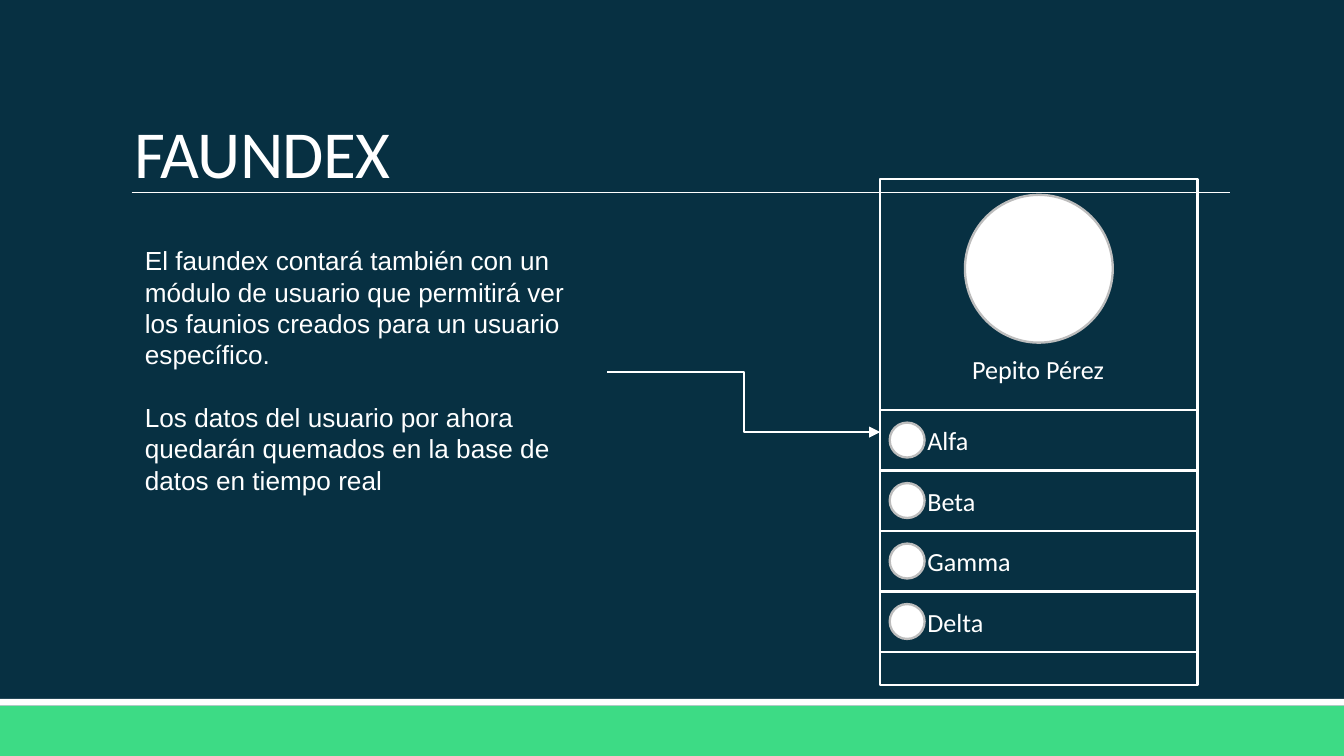
from lxml.etree import SubElement
from pptx import Presentation
from pptx.dml.color import RGBColor
from pptx.enum.shapes import MSO_CONNECTOR, MSO_SHAPE
from pptx.enum.text import MSO_ANCHOR, PP_ALIGN
from pptx.oxml.ns import qn
from pptx.util import Inches, Pt

COLORS = {"navy": "073042", "green": "3DDB85", "white": "FFFFFF", "gray": "BDBDBD"}

presentation = Presentation()
presentation.slide_width = Inches(10)
presentation.slide_height = Inches(5.625)
slide = presentation.slides.add_slide(presentation.slide_layouts[6])
slide.background.fill.solid()
slide.background.fill.fore_color.rgb = RGBColor.from_string(COLORS["navy"])

UNIT = presentation.slide_width / 100


def add_block(text="", *, box, kind=None, fill=None, line=None, size=14, font="Calibri",
              align=PP_ALIGN.LEFT, anchor=MSO_ANCHOR.MIDDLE, insets=(1, 0.5, 1, 0.5),
              gap=0, spacing=None, tracking=None):
    place = [round(value * UNIT) for value in box]
    if kind is None:
        shape = slide.shapes.add_textbox(*place)
    else:
        shape = slide.shapes.add_shape(kind, *place)
        shape.shadow.inherit = False
        if fill:
            shape.fill.solid()
            shape.fill.fore_color.rgb = RGBColor.from_string(COLORS[fill])
        else:
            shape.fill.background()
        if line:
            shape.line.color.rgb = RGBColor.from_string(COLORS[line])
            shape.line.width = Pt(1.25)
        else:
            shape.line.fill.background()
    if not text:
        return shape
    frame = shape.text_frame
    frame.word_wrap = True
    frame.vertical_anchor = anchor
    frame.margin_left, frame.margin_top, frame.margin_right, frame.margin_bottom = [
        round(value * UNIT) for value in insets]
    frame.text = text
    for index, paragraph in enumerate(frame.paragraphs):
        paragraph.alignment = align
        paragraph.line_spacing = spacing
        paragraph.space_before = Pt(gap if index else 0)
        for run in paragraph.runs:
            run.font.size = Pt(size)
            run.font.name = font
            run.font.color.rgb = RGBColor.from_string(COLORS["white"])
            if tracking:
                run.font._element.set("spc", str(tracking))
    return shape


def add_line(kind, start, end, width):
    connector = slide.shapes.add_connector(
        kind, *[round(value * UNIT) for value in (*start, *end)])
    connector.line.color.rgb = RGBColor.from_string(COLORS["white"])
    connector.line.width = Pt(width)
    SubElement(connector._element.spPr, qn("a:effectLst"))
    return connector


add_block(box=(0, 52.5, 100, 3.75), kind=MSO_SHAPE.RECTANGLE, fill="green")
add_block(box=(0, 52, 100, 0.5), kind=MSO_SHAPE.RECTANGLE, fill="white")
add_line(MSO_CONNECTOR.STRAIGHT, (9.8, 14.3), (91.5, 14.3), 0.5)
add_block("FAUNDEX", box=(9, 2.4, 82.5, 11.9), size=36, anchor=MSO_ANCHOR.BOTTOM,
          insets=(1, 1, 1, 0.1), spacing=0.75, tracking=-40)

card_left, card_top, card_width, card_height = 65.5, 13.3, 23.6, 37.7
card = add_block(box=(card_left, card_top, card_width, card_height),
                 kind=MSO_SHAPE.RECTANGLE, line="white")
add_block("Pepito Pérez", box=(70.1, 25.9, 14.3, 3.1), align=PP_ALIGN.CENTER)
description = add_block(
    "El faundex contará también con un módulo de usuario que permitirá ver "
    "los faunios creados para un usuario específico.\n"
    "Los datos del usuario por ahora quedarán quemados en la base de "
    "datos en tiempo real",
    box=(9.8, 17.7, 35.4, 19.9), font="Arial", anchor=MSO_ANCHOR.TOP, gap=16.8)

arrow = add_line(MSO_CONNECTOR.ELBOW, (45.2, 27.6), (65.5, 32.1), 1)
arrow.begin_connect(description, 3)
arrow.end_connect(card, 1)
SubElement(arrow.line._get_or_add_ln(), qn("a:tailEnd"), type="triangle")

avatar = 11
add_block(box=(card_left + (card_width - avatar) / 2, 14.5, avatar, avatar),
          kind=MSO_SHAPE.OVAL, fill="white", line="gray")

row_top, row_height, icon = 30.5, 4.5, 2.6
for index, name in enumerate(["Alfa", "Beta", "Gamma", "Delta"]):
    top = row_top + index * row_height
    add_block(name, box=(card_left, top, card_width, row_height),
              kind=MSO_SHAPE.RECTANGLE, line="white", insets=(3.5, 0.5, 1, 0.5))
    add_block(box=(card_left + 0.7, top + (row_height - icon) / 2, icon, icon),
              kind=MSO_SHAPE.OVAL, fill="white", line="gray")

presentation.save("out.pptx")
